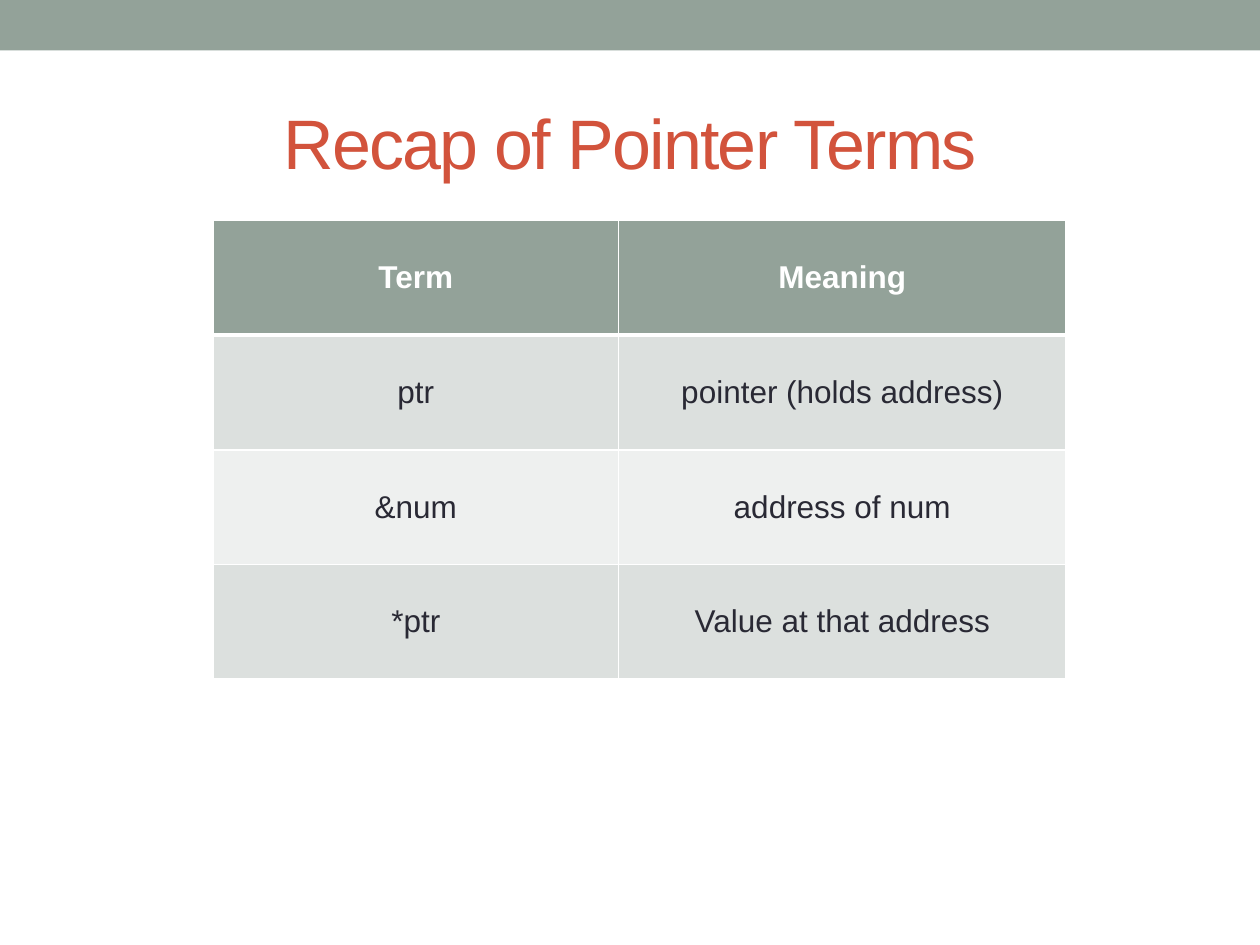
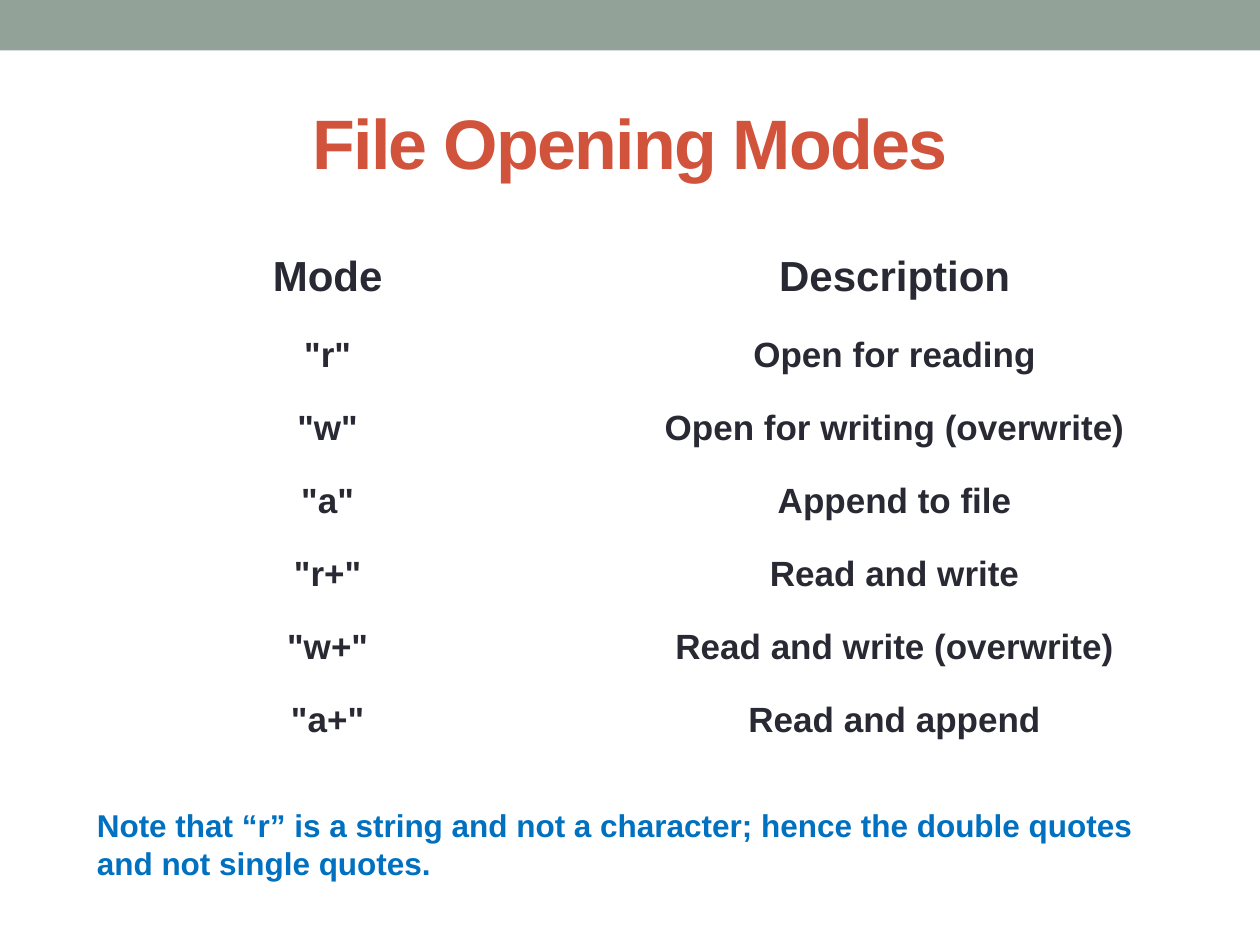
import pptx
import pptx.util
import pptx.dml.color
import pptx.enum.shapes
import pptx.enum.text
import pptx.oxml
import pptx.oxml.ns
from pptx.util import Inches

FONT = "Arial"
COLORS = {
    "band": "93A299",
    "title": "D2533C",
    "text": "292934",
    "white": "FFFFFF",
    "row_dark": "DCE0DE",
    "row_light": "EEF0EF",
    "note": "0070C0",
}
CENTER = pptx.enum.text.PP_ALIGN.CENTER
MIDDLE = pptx.enum.text.MSO_ANCHOR.MIDDLE

TERMS = [
    ("Term", "Meaning"),
    ("ptr", "pointer (holds address)"),
    ("&num", "address of num"),
    ("*ptr", "Value at that address"),
]
MODES = [
    ("Mode", "Description"),
    ('"r"', "Open for reading"),
    ('"w"', "Open for writing (overwrite)"),
    ('"a"', "Append to file"),
    ('"r+"', "Read and write"),
    ('"w+"', "Read and write (overwrite)"),
    ('"a+"', "Read and append"),
]
NOTE = ("Note that “r” is a string and not a character; "
        "hence the double quotes and not single quotes.")


def rgb(name):
    return pptx.dml.color.RGBColor.from_string(COLORS[name])


def write(tf, text, size, color, bold=False, align=None):
    p = tf.paragraphs[0]
    p.text = text
    p.alignment = align
    p.font.name = FONT
    p.font.size = pptx.util.Pt(size)
    p.font.bold = bold
    p.font.color.rgb = rgb(color)
    return p


def add_text(s, box, text, size, color, bold=False, align=None, anchor=None):
    tf = s.shapes.add_textbox(*map(Inches, box)).text_frame
    tf.word_wrap = True
    tf.vertical_anchor = anchor
    return write(tf, text, size, color, bold, align)


def add_base_slide(prs, title, bold=False):
    s = prs.slides.add_slide(prs.slide_layouts[6])
    # Top band
    band = s.shapes.add_shape(pptx.enum.shapes.MSO_SHAPE.RECTANGLE,
                              0, 0, prs.slide_width, Inches(0.4))
    band.shadow.inherit = False
    band.fill.solid()
    band.fill.fore_color.rgb = rgb("band")
    band.line.fill.background()
    # Title with tightened letter spacing
    p = add_text(s, (0.5, 0.58, 9, 1.08), title, 40, "title", bold, CENTER, MIDDLE)
    p.runs[0].font._element.set("spc", "-100")
    return s


def set_borders(cell, bottom=1):
    tc_pr = cell._tc.get_or_add_tcPr()
    widths = {"lnL": 1, "lnR": 1, "lnT": 1, "lnB": bottom}
    for i, (tag, width) in enumerate(widths.items()):
        tc_pr.insert(i, pptx.oxml.parse_xml(
            f'<a:{tag} {pptx.oxml.ns.nsdecls("a")} w="{pptx.util.Pt(width)}">'
            f'<a:solidFill><a:srgbClr val="{COLORS["white"]}"/></a:solidFill></a:{tag}>'))


def add_grid(s, left, top, col_widths, row_heights, rows, style_cell):
    """Place a table of centred text; style_cell(cell, row, text) finishes each cell."""
    table = s.shapes.add_table(
        len(rows), len(col_widths), Inches(left), Inches(top),
        Inches(sum(col_widths)), Inches(sum(row_heights))).table
    table.first_row = table.horz_banding = False
    for column, width in zip(table.columns, col_widths):
        column.width = Inches(width)
    for i, (row, height) in enumerate(zip(table.rows, row_heights)):
        row.height = Inches(height)
        for cell, text in zip(row.cells, rows[i]):
            cell.vertical_anchor = MIDDLE
            style_cell(cell, i, text)


def style_term(cell, row, text):
    header = row == 0
    fill = "band" if header else "row_dark" if row % 2 else "row_light"
    cell.fill.solid()
    cell.fill.fore_color.rgb = rgb(fill)
    set_borders(cell, bottom=3 if header else 1)
    write(cell.text_frame, text, 18, "white" if header else "text", header, CENTER)


def style_mode(cell, row, text):
    cell.fill.background()
    set_borders(cell)
    write(cell.text_frame, text, 20 if row else 24, "text", True, CENTER)


def add_terms_slide(prs):
    s = add_base_slide(prs, "Recap of Pointer Terms")
    add_grid(s, 1.69, 1.75, [3.22, 3.55], [0.91] * len(TERMS), TERMS, style_term)


def add_modes_slide(prs):
    s = add_base_slide(prs, "File Opening Modes", bold=True)
    heights = [0.67] + [0.58] * (len(MODES) - 1)
    add_grid(s, 0.35, 1.86, [4.5, 4.5], heights, MODES, style_mode)
    # Note under the table
    add_text(s, (0.67, 6.35, 8.58, 0.71), NOTE, 18, "note", bold=True)


def main():
    prs = pptx.Presentation()
    prs.slide_width, prs.slide_height = Inches(10), Inches(7.5)
    add_terms_slide(prs)
    add_modes_slide(prs)
    prs.save("out.pptx")


if __name__ == "__main__":
    main()
